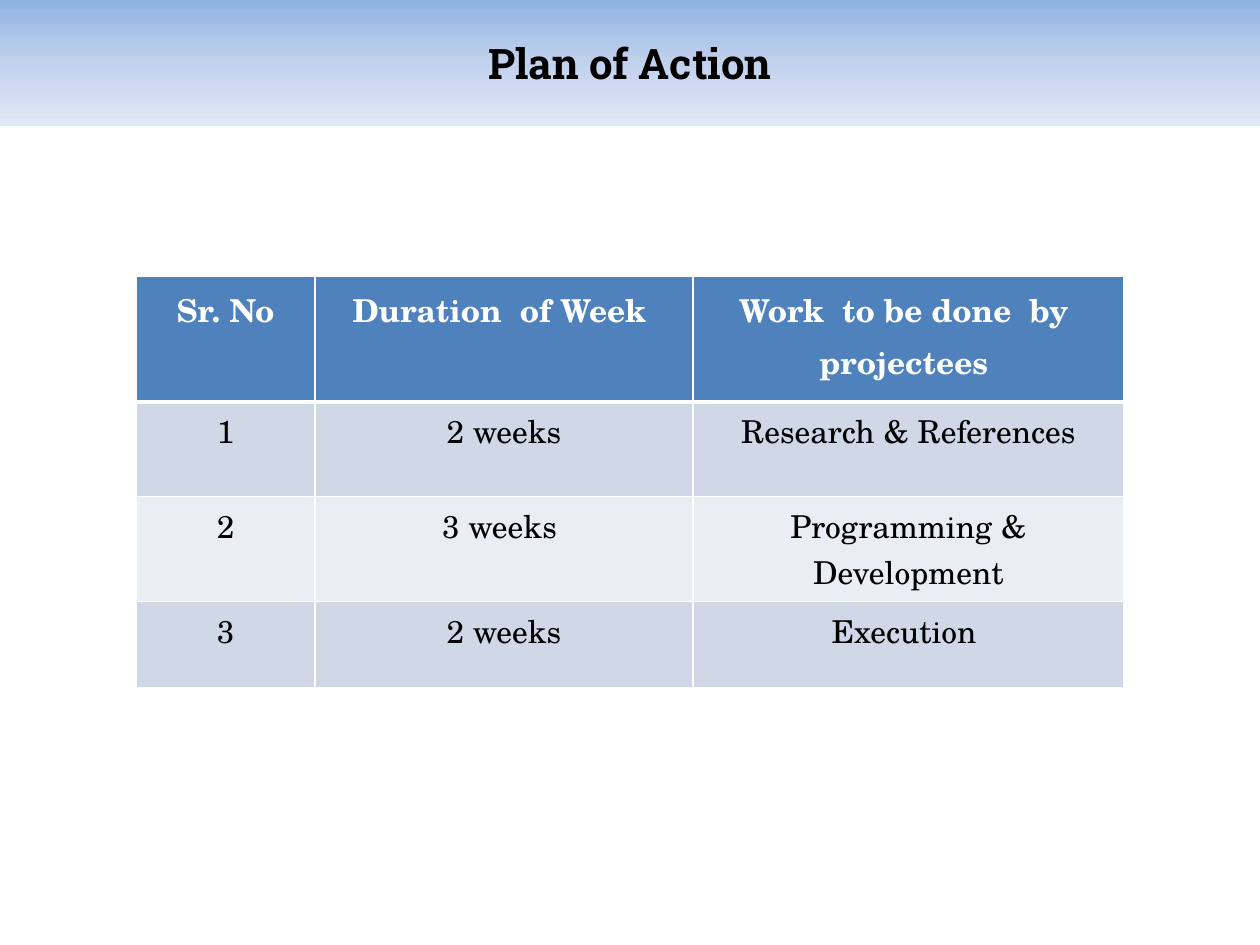
import copy

import pptx
import pptx.dml.color
import pptx.enum.text
import pptx.oxml
import pptx.oxml.ns
import pptx.util

Inches = pptx.util.Inches
Pt = pptx.util.Pt
rgb = pptx.dml.color.RGBColor.from_string

theme = {
    "title_font": "Roboto Slab", "body_font": "TeX Gyre Schola",
    "title_size": 24, "body_size": 18,
    "ink": "000000", "white": "FFFFFF", "head": "4F81BD",
    "bands": ["D0D8E8", "E9EDF4"],
    "banner": [(0, "8EB4E3"), (0.5, "C2D1ED"), (1, "E1E8F5")],
}


def write(frame, text, font=theme["body_font"], size=theme["body_size"],
          color=theme["ink"], bold=False, spacing=1.0):
    """Put one centred line of formatted text in a frame; return its paragraph."""
    para = frame.paragraphs[0]
    para.alignment = pptx.enum.text.PP_ALIGN.CENTER
    para.line_spacing = spacing
    run = para.add_run()
    run.text = text
    run.font.name = font
    run.font.size = Pt(size)
    run.font.bold = bold
    run.font.color.rgb = rgb(color)
    return para


def edge(cell, side, width):
    """Draw a white border on one side (L, R, T or B); call before filling."""
    space = pptx.oxml.ns.nsdecls("a")
    cell._tc.get_or_add_tcPr().append(pptx.oxml.parse_xml(
        f'<a:ln{side} {space} w="{Pt(width)}"><a:solidFill>'
        f'<a:srgbClr val="{theme["white"]}"/></a:solidFill></a:ln{side}>'))


deck = pptx.Presentation()
deck.slide_width, deck.slide_height = Inches(10), Inches(7.5)
slide = deck.slides.add_slide(deck.slide_layouts[5])

# Title banner
title = slide.shapes.title
title.left, title.top = Inches(0), Inches(0)
title.width, title.height = Inches(10), Inches(1)
title.fill.gradient()
title.fill.gradient_angle = 270
first = title.fill.gradient_stops[0]._gs
first.addnext(copy.deepcopy(first))
for stop, (place, color) in zip(title.fill.gradient_stops, theme["banner"]):
    stop.position = place
    stop.color.rgb = rgb(color)
title.text_frame.vertical_anchor = pptx.enum.text.MSO_ANCHOR.MIDDLE
write(title.text_frame, "Plan of Action", font=theme["title_font"],
      size=theme["title_size"], bold=True)

# Schedule table
rows = [
    ("Sr. No", "Duration  of Week ", "Work  to be done  by  projectees "),
    ("1", "2 weeks", "Research & References"),
    ("2", "3 weeks ", "Programming & Development"),
    ("3", "2 weeks", "Execution "),
]
widths = [1.42, 3, 3.42]
heights = [1, 0.75, 0.67, 0.68]
table = slide.shapes.add_table(
    len(rows), len(widths), Inches(1.08), Inches(2.19),
    Inches(sum(widths)), Inches(sum(heights))).table
for col, width in zip(table.columns, widths):
    col.width = Inches(width)
for row, height in zip(table.rows, heights):
    row.height = Inches(height)

for r, texts in enumerate(rows):
    head = r == 0
    for c, text in enumerate(texts):
        cell = table.cell(r, c)
        for side in "LRTB":
            thick = (head and side == "B") or (r == 1 and side == "T")
            edge(cell, side, 3 if thick else 1)
        cell.fill.solid()
        cell.fill.fore_color.rgb = rgb(
            theme["head"] if head else theme["bands"][(r - 1) % 2])
        para = write(cell.text_frame, text, bold=head,
                     color=theme["white"] if head else theme["ink"],
                     spacing=1.07 if head else 1.0)
        if c == 0 and not head:
            props = para._p.get_or_add_pPr()
            props.set("marL", str(Inches(0.38)))
            props.set("indent", str(Inches(-0.38)))

deck.save("out.pptx")
